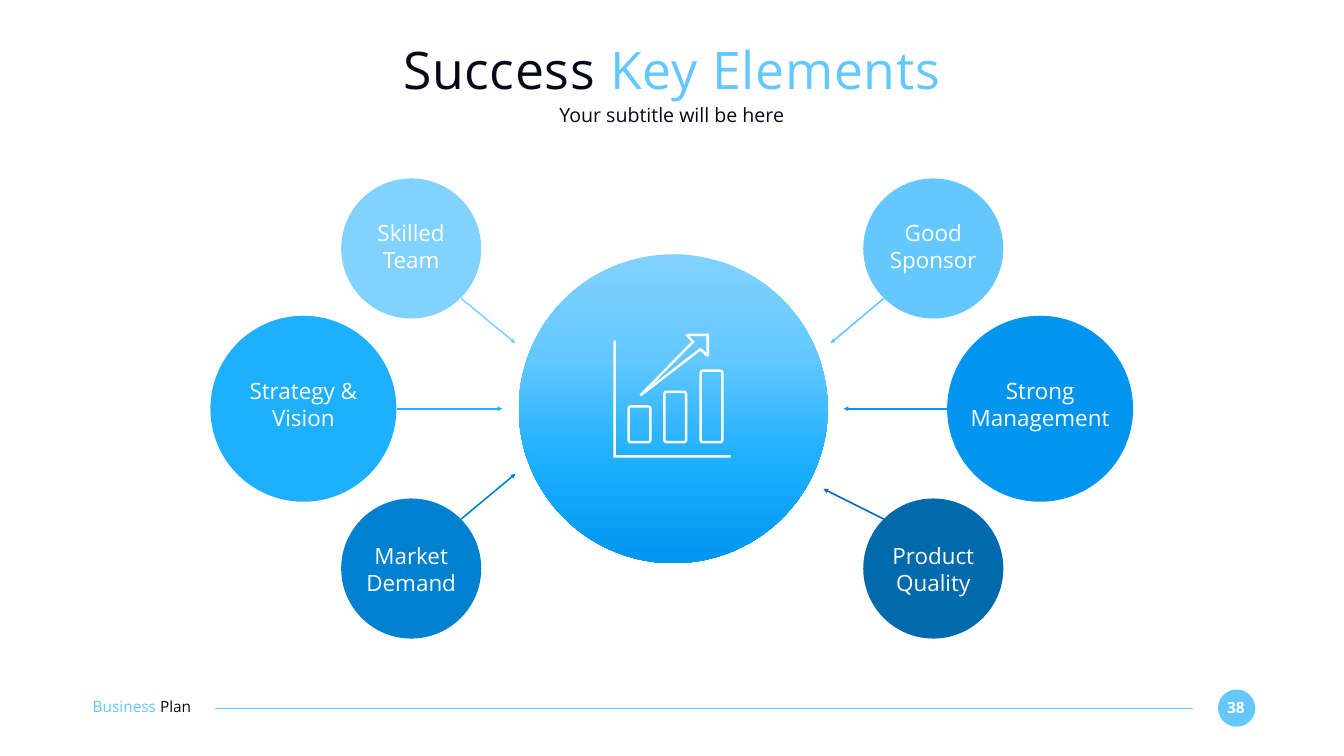
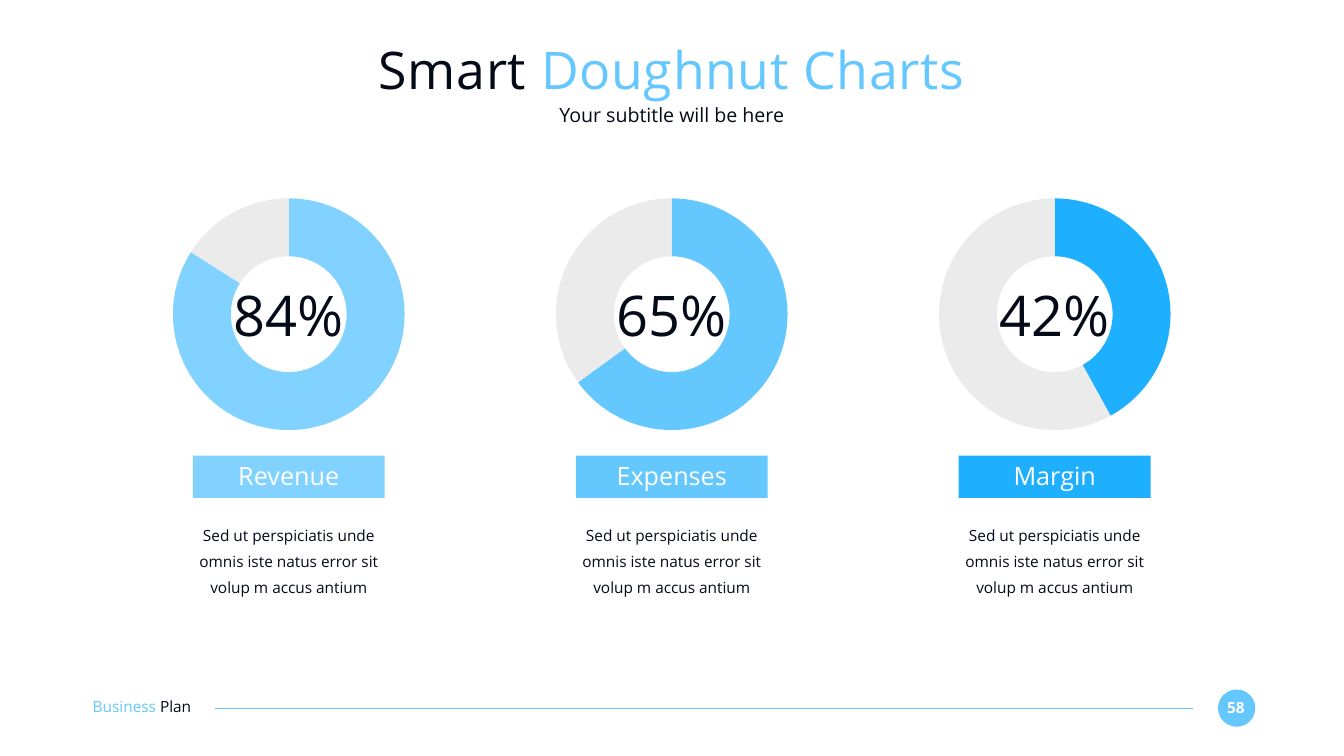
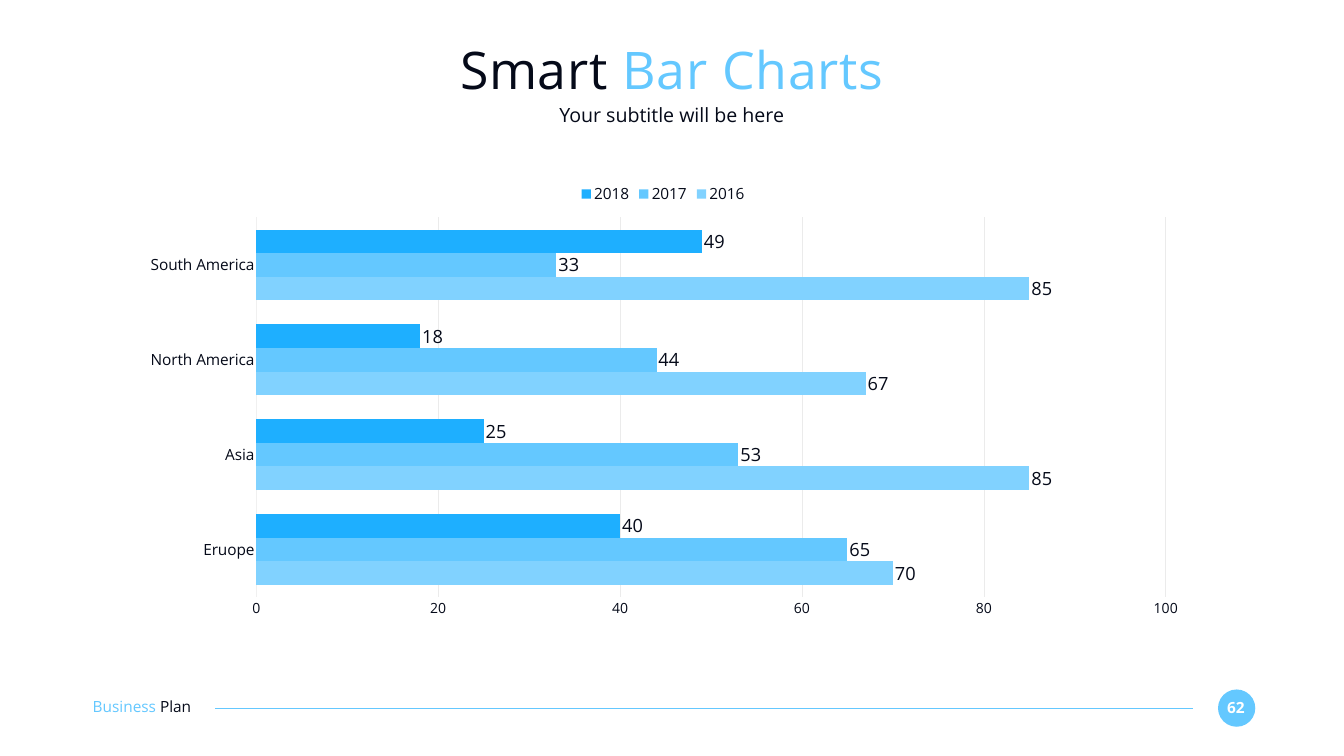
import math
from dataclasses import dataclass

import lxml.etree
import pptx
import pptx.chart.data
import pptx.dml.color
import pptx.enum.chart
import pptx.enum.shapes
import pptx.enum.text
import pptx.oxml
import pptx.oxml.ns
import pptx.util

Inches = pptx.util.Inches
Pt = pptx.util.Pt
qn = pptx.oxml.ns.qn
SHAPE = pptx.enum.shapes.MSO_SHAPE
ALIGN = pptx.enum.text.PP_ALIGN
ANCHOR = pptx.enum.text.MSO_ANCHOR
CHART = pptx.enum.chart


@dataclass(frozen=True)
class Theme:
    font: str = "Open Sans"
    chart_font: str = "Calibri"
    ink: str = "050A19"
    white: str = "FFFFFF"
    pale: str = "81D2FF"
    sky: str = "64C8FF"
    azure: str = "1EAFFF"
    blue: str = "0096F0"
    deep: str = "0081D0"
    navy: str = "006AAC"
    track: str = "EBEBEB"
    axis: str = "F0F0F0"
    muted: str = "999999"
    title: int = 74
    subtitle: int = 28
    body: int = 22
    circle_label: int = 32
    band_label: int = 36
    percent: int = 80
    value: int = 26
    scale: int = 20
    chart_base: int = 10


THEME = Theme()
MIDDLE = 13.33


def rgb(color):
    return pptx.dml.color.RGBColor.from_string(color)


def inches(*lengths):
    return [Inches(length) for length in lengths]


def style_font(font, size, color, name=THEME.font):
    font.size = Pt(size)
    font.name = name
    font.color.rgb = rgb(color)


def add_text(page, text, place, size=THEME.body, color=THEME.ink, bold=False,
             align=ALIGN.CENTER, anchor=ANCHOR.TOP, grow=True, tracking=0,
             line_spacing=None, before=None, after=None):
    box = page.shapes.add_textbox(*inches(*place))
    frame = box.text_frame
    frame.margin_left = frame.margin_right = frame.margin_top = frame.margin_bottom = 0
    frame.word_wrap = True
    frame.vertical_anchor = anchor
    sizing = pptx.enum.text.MSO_AUTO_SIZE
    frame.auto_size = sizing.SHAPE_TO_FIT_TEXT if grow else sizing.NONE
    if isinstance(text, str):
        paragraphs = [[(line, color)] for line in text.split("\n")]
    else:
        paragraphs = [text]
    for index, spans in enumerate(paragraphs):
        para = frame.add_paragraph() if index else frame.paragraphs[0]
        para.alignment = align
        para.line_spacing = line_spacing
        para.space_before = None if before is None else Pt(before)
        para.space_after = None if after is None else Pt(after)
        for words, span_color in spans:
            span = para.add_run()
            span.text = words
            style_font(span.font, size, span_color)
            span.font.bold = bold
            if tracking:
                span.font._element.set("spc", str(tracking * 100))
    return box


def add_filled(page, kind, place, color):
    shape = page.shapes.add_shape(kind, *inches(*place))
    shape.shadow.inherit = False
    shape.fill.solid()
    shape.fill.fore_color.rgb = rgb(color)
    shape.line.fill.background()
    return shape


def add_circle(page, center_x, center_y, diameter, color):
    place = (center_x - diameter / 2, center_y - diameter / 2, diameter, diameter)
    return add_filled(page, SHAPE.OVAL, place, color)


def add_line(page, start, end, color, width, arrow=False):
    kind = pptx.enum.shapes.MSO_CONNECTOR.STRAIGHT
    line = page.shapes.add_connector(kind, *inches(*start, *end))
    line.line.color.rgb = rgb(color)
    line.line.width = Pt(width)
    properties = line.element.spPr
    if arrow:
        lxml.etree.SubElement(properties.find(qn("a:ln")), qn("a:tailEnd"), type="triangle")
    lxml.etree.SubElement(properties, qn("a:effectLst"))
    return line


def apply_gradient(shape, stops):
    shape.fill.gradient()
    shape.fill.gradient_angle = 270
    stop_list = shape.element.spPr.find(qn("a:gradFill")).find(qn("a:gsLst"))
    for stop in list(stop_list):
        stop_list.remove(stop)
    for percent, color in stops:
        stop = lxml.etree.SubElement(stop_list, qn("a:gs"), pos=str(percent * 1000))
        lxml.etree.SubElement(stop, qn("a:srgbClr"), val=color)


def rounded_outline(left, top, right, bottom, radius, steps=4):
    corners = [(right - radius, bottom - radius), (left + radius, bottom - radius),
               (left + radius, top + radius), (right - radius, top + radius)]
    return [(x + radius * math.cos(angle), y + radius * math.sin(angle))
            for quarter, (x, y) in enumerate(corners)
            for angle in [math.pi / 2 * (quarter + step / steps) for step in range(steps + 1)]]


def add_growth_icon(page):
    outlines = [
        [(12.17, 6.76), (12.22, 6.76), (12.22, 9.03), (14.5, 9.03), (14.5, 9.08), (12.17, 9.08)],
        [(12.69, 7.83), (13.72, 6.78), (13.6, 6.65), (13.64, 6.62), (14.07, 6.62),
         (14.07, 7.05), (14.05, 7.08), (14.01, 7.07), (13.9, 6.96), (12.73, 7.86)],
        [(12.94, 7.64), (13.9, 6.9), (14.02, 7), (14.02, 6.67), (13.68, 6.67), (13.79, 6.78)],
    ]
    for left, top in [(12.45, 8.04), (13.16, 7.75), (13.88, 7.33)]:
        for inset in (0, 0.05):
            outlines.append(rounded_outline(left + inset, top + inset, left + 0.48 - inset,
                                            8.8 - inset, 0.07 - inset))
    builder = None
    for outline in outlines:
        points = [tuple(inches(*point)) for point in outline]
        if builder is None:
            builder = page.shapes.build_freeform(*points[0], scale=1.0)
        else:
            builder.move_to(*points[0])
        builder.add_line_segments(points[1:], close=True)
    icon = builder.convert_to_shape()
    icon.shadow.inherit = False
    icon.fill.solid()
    icon.fill.fore_color.rgb = rgb(THEME.white)
    icon.line.fill.background()


def set_plot_layout(chart, x, y, w, h):
    plot_area = chart._chartSpace.xpath("c:chart/c:plotArea")[0]
    layout = plot_area.find(qn("c:layout"))
    if layout is None:
        layout = lxml.etree.Element(qn("c:layout"))
        plot_area.insert(0, layout)
    manual = lxml.etree.SubElement(layout, qn("c:manualLayout"))
    settings = [("layoutTarget", "inner"), ("xMode", "edge"), ("yMode", "edge"),
                ("x", x), ("y", y), ("w", w), ("h", h)]
    for name, setting in settings:
        lxml.etree.SubElement(manual, qn(f"c:{name}"), val=str(setting))


def add_chart(page, kind, place, categories, series):
    data = pptx.chart.data.CategoryChartData()
    data.categories = categories
    for name, values in series:
        data.add_series(name, values)
    chart = page.shapes.add_chart(kind, *inches(*place), data).chart
    chart.has_title = False
    chart.has_legend = False
    return chart


def add_doughnut(page, center, percent, color):
    chart = add_chart(page, CHART.XL_CHART_TYPE.DOUGHNUT, (center - 2.445, 3.62, 4.89, 5.23),
                      ["1", "2"], [("Series 1", (percent, 100 - percent))])
    style_font(chart.font, THEME.chart_base, THEME.muted, THEME.chart_font)
    set_plot_layout(chart, 0.03, 0.06, 0.94, 0.88)
    chart._chartSpace.xpath(".//c:holeSize")[0].set("val", "88")
    for index, slice_color in enumerate((color, THEME.track)):
        fill = chart.plots[0].series[0].points[index].format.fill
        fill.solid()
        fill.fore_color.rgb = rgb(slice_color)


def add_region_bars(page):
    regions = ["Eruope", "Asia", "North America", "South America"]
    years = [("2016", (70, 85, 67, 85)), ("2017", (65, 53, 44, 33)), ("2018", (40, 25, 18, 49))]
    chart = add_chart(page, CHART.XL_CHART_TYPE.BAR_CLUSTERED, (2.54, 3.51, 21.23, 8.96),
                      regions, years)
    style_font(chart.font, THEME.body, THEME.ink)
    set_plot_layout(chart, 0.12, 0.09, 0.85, 0.84)
    chart.has_legend = True
    chart.legend.position = CHART.XL_LEGEND_POSITION.TOP
    chart.legend.include_in_layout = False
    style_font(chart.legend.font, THEME.body, THEME.ink)

    plot = chart.plots[0]
    plot.gap_width = 102
    plot.vary_by_categories = False
    for series, color in zip(plot.series, (THEME.pale, THEME.sky, THEME.azure)):
        series.format.fill.solid()
        series.format.fill.fore_color.rgb = rgb(color)
        labels = series.data_labels
        labels.show_value = True
        labels.position = CHART.XL_LABEL_POSITION.OUTSIDE_END
        style_font(labels.font, THEME.value, THEME.ink)

    for axis, size in ((chart.category_axis, THEME.body), (chart.value_axis, THEME.scale)):
        axis.major_tick_mark = axis.minor_tick_mark = CHART.XL_TICK_MARK.NONE
        style_font(axis.tick_labels.font, size, THEME.ink)
    chart.category_axis.format.line.color.rgb = rgb(THEME.axis)
    chart.category_axis.format.line.width = Pt(0.75)
    scale = chart.value_axis
    scale.minimum_scale, scale.maximum_scale, scale.major_unit = 0, 100, 20
    scale.format.line.fill.background()
    scale.has_major_gridlines = True
    scale.major_gridlines.format.line.color.rgb = rgb(THEME.track)
    scale.major_gridlines.format.line.width = Pt(1)


def add_page(deck, number, lead, accent):
    page = deck.slides.add_slide(deck.slide_layouts[6])
    add_circle(page, 24.54, 14.05, 0.74, THEME.sky)
    add_text(page, str(number), (24.23, 13.85, 0.59, 0.37), color=THEME.white, bold=True)
    add_line(page, (23.67, 14.05), (4.27, 14.05), THEME.sky, 1.5)
    add_text(page, [("Business ", THEME.sky), ("Plan", THEME.ink)],
             (1.84, 13.84, 2.59, 0.37), align=ALIGN.LEFT)
    add_text(page, [(lead + " ", THEME.ink), (accent, THEME.sky)], (1.83, 0.73, 23, 1.27),
             size=THEME.title, tracking=1, anchor=ANCHOR.MIDDLE, grow=False)
    add_text(page, "Your subtitle will be here", (1.83, 2.03, 23, 0.49),
             size=THEME.subtitle, before=20, anchor=ANCHOR.MIDDLE, grow=False)
    return page


def build_key_elements(deck):
    page = add_page(deck, 38, "Success", "Key Elements")
    small, large = 2.78, 3.69
    top, center, bottom = (4.93, 4.34), (8.11, 7.49), (11.28, 10.75)
    elements = [
        ("Skilled Team", 8.16, top, small, THEME.pale, (9.15, 5.92), (10.23, 6.81)),
        ("Strategy & Vision", 6.02, center, large, THEME.azure, (7.87, 8.11), (9.97, 8.11)),
        ("Market Demand", 8.16, bottom, small, THEME.deep, (9.15, 10.3), (10.23, 9.4)),
        ("Good Sponsor", 18.52, top, small, THEME.sky, (17.54, 5.92), (16.48, 6.81)),
        ("Strong\nManagement", 20.64, center, large, THEME.blue, (18.8, 8.11), (16.74, 8.11)),
        ("Product Quality", 18.52, bottom, small, THEME.navy, (17.54, 10.3), (16.34, 9.7)),
    ]
    for label, x, (y, label_top), diameter, color, start, end in elements:
        add_circle(page, x, y, diameter, color)
        add_line(page, start, end, color, 2.25, arrow=True)
        width = 2.91 if "\n" in label else 2.23
        add_text(page, label, (x - width / 2, label_top, width, 1.08),
                 size=THEME.circle_label, color=THEME.white)
    hub = add_circle(page, 13.36, 8.11, 6.13, THEME.sky)
    apply_gradient(hub, [(0, THEME.pale), (33, THEME.sky), (66, THEME.azure), (100, THEME.blue)])
    add_growth_icon(page)


def build_doughnuts(deck):
    page = add_page(deck, 58, "Smart", "Doughnut Charts")
    measures = [("Revenue", 84, THEME.pale), ("Expenses", 65, THEME.sky),
                ("Margin", 42, THEME.azure)]
    for index, (label, percent, color) in enumerate(measures):
        center = MIDDLE + (index - 1) * 7.6
        add_doughnut(page, center, percent, color)
        add_filled(page, SHAPE.RECTANGLE, (center - 1.905, 9.04, 3.81, 0.84), color)
        add_text(page, label, (center - 1.55, 9.13, 3.1, 0.61),
                 size=THEME.band_label, color=THEME.white)
        add_text(page, "Sed ut perspiciatis unde omnis iste natus error sit volup m accus antium",
                 (center - 2.155, 10.29, 4.31, 1.56), line_spacing=1.4, after=36)
        add_text(page, f"{percent}%", (center - 1.19, 5.56, 2.38, 1.35), size=THEME.percent)


def build_bars(deck):
    page = add_page(deck, 62, "Smart", "Bar Charts")
    add_region_bars(page)


def main():
    deck = pptx.Presentation()
    deck.slide_width, deck.slide_height = inches(26.67, 15)
    build_key_elements(deck)
    build_doughnuts(deck)
    build_bars(deck)
    deck.save("out.pptx")


if __name__ == "__main__":
    main()
